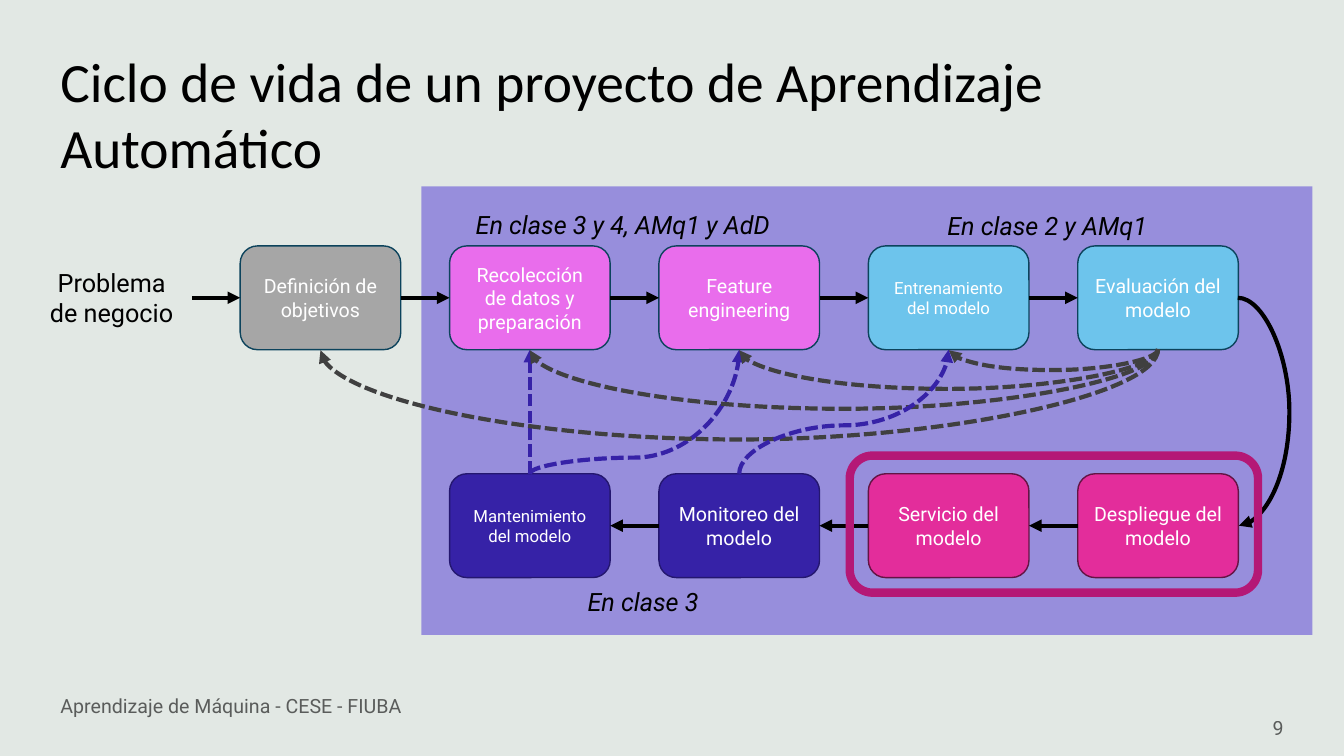
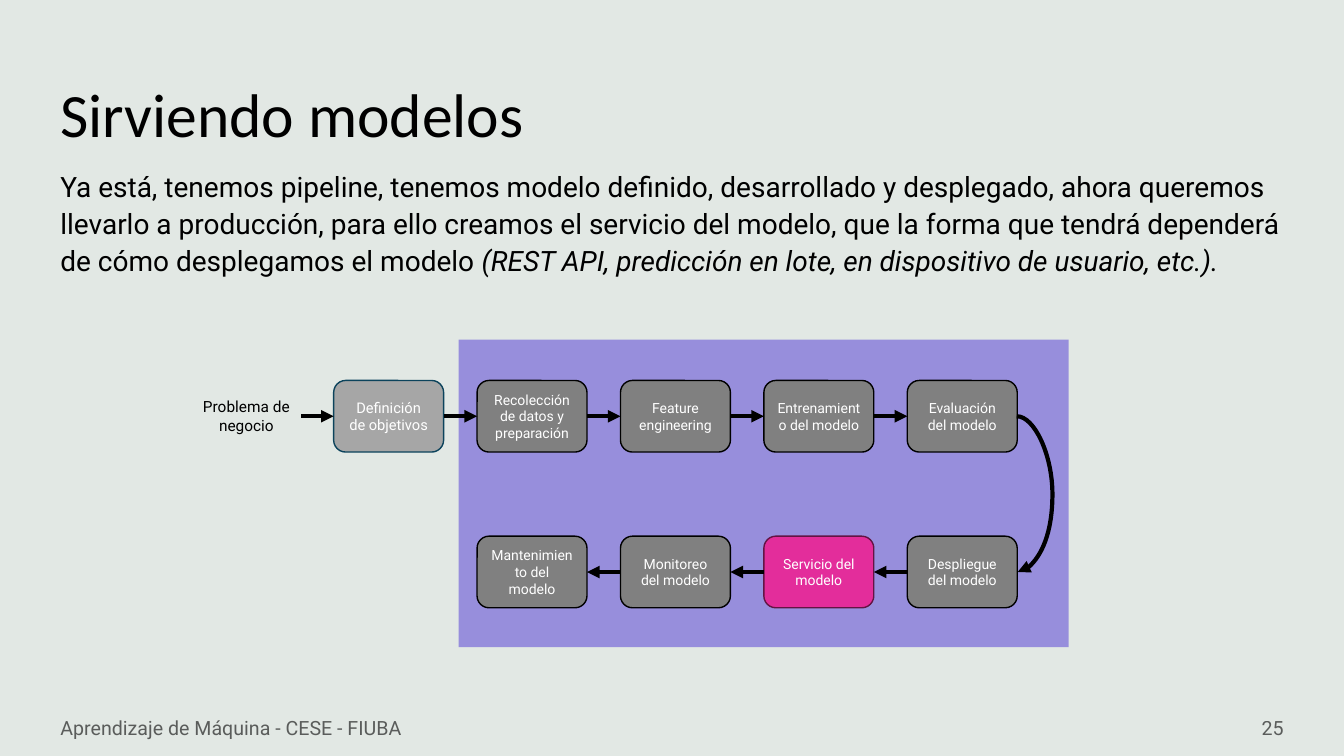
from lxml import etree
from pptx import Presentation
from pptx import util as u
from pptx.dml import color as tint
from pptx.enum import dml, shapes, text
from pptx.oxml import ns

deck = Presentation()
deck.slide_width, deck.slide_height = u.Inches(13.333), u.Inches(7.5)
COLUMN, ROW = deck.slide_width / 100, deck.slide_height / 100
GRAIN = u.Inches(0.01)

BLACK, WHITE, GREY, MID_GREY, DARK_GREY = "000000", "FFFFFF", "A6A6A6", "808080", "404040"
TEAL, PLUM, NAVY, RING = "0C435C", "631444", "24176F", "B41876"
PINK, SKY, MAGENTA, INDIGO, VIOLET = "E96DEC", "6DC4EC", "E32D9B", "3622A7", "4E36D6"
CENTER, RIGHT = text.PP_ALIGN.CENTER, text.PP_ALIGN.RIGHT
MIDDLE = text.MSO_ANCHOR.MIDDLE
RECTANGLE = shapes.MSO_SHAPE.RECTANGLE
ROUNDED = shapes.MSO_SHAPE.ROUNDED_RECTANGLE
TOP, LEFT_SIDE, BOTTOM, RIGHT_SIDE = range(4)


def paint(target, color, opacity=100):
    target.solid()
    target.fore_color.rgb = tint.RGBColor.from_string(color)
    if opacity < 100:
        for node in target._xPr.iter(ns.qn("a:srgbClr")):
            etree.SubElement(node, ns.qn("a:alpha"), val=str(opacity * 1000))


def draw(page, at, *spans, shape=None, fill=None, line=None, weight=1, opacity=100,
         size=18, font="Roboto", color=BLACK, ink=100, align=None, anchor=None,
         italic=False, wrap=True, spacing=None):
    place = [int(share * unit) for share, unit in zip(at, (COLUMN, ROW) * 2)]
    if shape is None:
        box = page.shapes.add_textbox(*place)
    else:
        box = page.shapes.add_shape(shape, *place)
        box.shadow.inherit = False
        if fill:
            paint(box.fill, fill, opacity)
        else:
            box.fill.background()
        if line:
            paint(box.line.fill, line)
            box.line.width = u.Pt(weight)
        else:
            box.line.fill.background()
    frame = box.text_frame
    frame.word_wrap = wrap
    frame.vertical_anchor = anchor
    para = frame.paragraphs[0]
    para.alignment = align
    para.line_spacing = spacing
    for number, words in enumerate(spans):
        span = para.add_run()
        span.text = words
        span.font.name, span.font.size = font, u.Pt(size)
        span.font.italic = italic or number > 0
        paint(span.font.fill, color, ink)
    return box


STEPS = [
    "Definición de objetivos", "Recolección de datos y preparación", "Feature engineering",
    "Entrenamiento del modelo", "Evaluación del modelo", "Despliegue del modelo",
    "Servicio del modelo", "Monitoreo del modelo", "Mantenimiento del modelo",
]
GOALS, COLLECT, FEATURES, TRAIN, EVALUATE, DEPLOY, SERVE, MONITOR, MAINTAIN = range(9)
MUTED = (MID_GREY, BLACK, 10)

SLIDES = [
    dict(
        title="Ciclo de vida de un proyecto de Aprendizaje Automático", title_size=39.6,
        number="9", footer_top=90.67, body=(),
        panel=(31.35, 24.67, 66.3, 59.33),
        left=17.87, pitch=15.58, tops=(32.53, 62.67), width=11.95, height=13.73,
        problem_left=2.33, problem_height=9.47, problem_size=18,
        styles=[(GREY, TEAL, 14), (PINK, TEAL, 14), (PINK, TEAL, 14), (SKY, TEAL, 12),
                (SKY, TEAL, 14), (MAGENTA, PLUM, 14), (MAGENTA, PLUM, 14),
                (INDIGO, NAVY, 14), (INDIGO, NAVY, 12)],
        turn=3.9,
        feedback=[
            (MAINTAIN, TOP, FEATURES, 2.13, INDIGO),
            (EVALUATE, BOTTOM, GOALS, 12.13, DARK_GREY),
            (EVALUATE, BOTTOM, COLLECT, 8, DARK_GREY),
            (EVALUATE, BOTTOM, TRAIN, 2.8, DARK_GREY),
            (EVALUATE, BOTTOM, FEATURES, 5.33, DARK_GREY),
            (MONITOR, TOP, TRAIN, 6.4, INDIGO),
        ],
        upkeep=[(MAINTAIN, COLLECT)],
        ring=[(63.23, 60.27, 30.38, 18.13)],
        labels=[("En clase 2 y AMq1", 69.75, 27.2, 17.25),
                ("En clase 3 y 4, AMq1 y AdD", 34.65, 27.07, 25.05),
                ("En clase 3", 42.98, 76.93, 10.13)],
    ),
    dict(
        title="Sirviendo modelos", title_size=44, number="25", footer_top=93.6,
        body=("Ya está, tenemos pipeline, tenemos modelo definido, desarrollado y desplegado, "
              "ahora queremos llevarlo a producción, para ello creamos el servicio del modelo, "
              "que la forma que tendrá dependerá de cómo desplegamos el modelo ",
              "(REST API, predicción en lote, en dispositivo de usuario, etc.)."),
        panel=(34.13, 44.93, 45.38, 40.67),
        left=24.83, pitch=10.67, tops=(50.33, 70.93), width=8.18, height=9.47,
        problem_left=14.25, problem_height=6.27, problem_size=11,
        styles=[(GREY, TEAL, 10.5)] + [MUTED] * 5 + [(MAGENTA, PLUM, 10)] + [MUTED] * 2,
        turn=2.7, feedback=[], upkeep=[], ring=[], labels=[],
    ),
]

paint(deck.slide_master.background.fill, "E2E8E4")

for content in SLIDES:
    page = deck.slides.add_slide(deck.slide_layouts[6])
    draw(page, content["panel"], shape=RECTANGLE, fill=VIOLET, opacity=50)
    draw(page, (3.75, 5.33, 89.4, 19.33), content["title"],
         size=content["title_size"], font="Calibri", anchor=MIDDLE)
    draw(page, (3.75, content["footer_top"], 33.75, 5.33),
         "Aprendizaje de Máquina - CESE - FIUBA", size=14, ink=60, anchor=MIDDLE)
    draw(page, (73.75, 93.6, 22.5, 5.33), content["number"],
         size=14, ink=60, align=RIGHT, anchor=MIDDLE)
    if content["body"]:
        draw(page, (3.75, 21.33, 92.5, 20), *content["body"], size=20, spacing=1.1)

    width, height = content["width"], content["height"]
    problem_top = content["tops"][0] + (height - content["problem_height"]) / 2
    problem = draw(page, (content["problem_left"], problem_top, width, content["problem_height"]),
                   "Problema de negocio", size=content["problem_size"], align=CENTER)
    boxes = []
    for index, (step, (fill, line, size)) in enumerate(zip(STEPS, content["styles"])):
        lower = index >= DEPLOY
        column = 9 - index if lower else index
        at = (content["left"] + column * content["pitch"], content["tops"][lower], width, height)
        boxes.append(draw(page, at, step, shape=ROUNDED, fill=fill, line=line, size=size,
                          color=WHITE, align=CENTER, anchor=MIDDLE))

    straight = [(problem, RIGHT_SIDE, boxes[GOALS], LEFT_SIDE, BLACK)]
    for index in range(len(boxes) - 1):
        if index != EVALUATE:
            sides = (RIGHT_SIDE, LEFT_SIDE) if index < EVALUATE else (LEFT_SIDE, RIGHT_SIDE)
            straight.append((boxes[index], sides[0], boxes[index + 1], sides[1], BLACK))
    for start, end in content["upkeep"]:
        straight.append((boxes[start], TOP, boxes[end], BOTTOM, INDIGO))
    arrows = []
    for start, start_side, end, end_side, color in straight:
        arrow = page.shapes.add_connector(shapes.MSO_CONNECTOR.STRAIGHT, 0, 0, 0, 0)
        arrow.begin_connect(start, start_side)
        arrow.end_connect(end, end_side)
        arrows.append((arrow, color))

    curves = [(EVALUATE, RIGHT_SIDE, DEPLOY, RIGHT_SIDE, content["turn"] * COLUMN, BLACK)]
    for start, side, end, depth, color in content["feedback"]:
        curves.append((start, side, end, BOTTOM, depth * ROW, color))
    for start, start_side, end, end_side, depth, color in curves:
        arrow = page.shapes.add_connector(shapes.MSO_CONNECTOR.CURVE, 0, 0, 0, 0)
        arrow.begin_connect(boxes[start], start_side)
        arrow.end_connect(boxes[end], end_side)
        run, rise = arrow.end_x - arrow.begin_x, arrow.end_y - arrow.begin_y
        center_x, center_y = arrow.begin_x + run / 2, arrow.begin_y + rise / 2
        sideways = start_side == RIGHT_SIDE
        along, across = (run, rise) if sideways else (rise, -run)
        breadth = max(abs(along), GRAIN)
        arrow.width, arrow.height = breadth, abs(across)
        arrow.left, arrow.top = int(center_x - breadth / 2), int(center_y - abs(across) / 2)
        outline = arrow._element.spPr
        outline.xfrm.rot = 0 if sideways else 90
        outline.xfrm.flipH, outline.xfrm.flipV = along < 0, across < 0
        guides = outline.find(ns.qn("a:prstGeom")).find(ns.qn("a:avLst"))
        etree.SubElement(guides, ns.qn("a:gd"), name="adj1",
                         fmla=f"val {round(depth / breadth * 100000)}")
        arrows.append((arrow, color))

    for arrow, color in arrows:
        paint(arrow.line.fill, color)
        arrow.line.width = u.Pt(3)
        if color != BLACK:
            arrow.line.dash_style = dml.MSO_LINE.SQUARE_DOT
        outline = arrow._element.spPr
        etree.SubElement(outline.find(ns.qn("a:ln")), ns.qn("a:tailEnd"), type="triangle")
        etree.SubElement(outline, ns.qn("a:effectLst"))

    for at in content["ring"]:
        draw(page, at, shape=ROUNDED, line=RING, weight=6)
    for label, left, top, label_width in content["labels"]:
        draw(page, (left, top, label_width, 5.33), label, italic=True, wrap=False)

deck.save("out.pptx")
